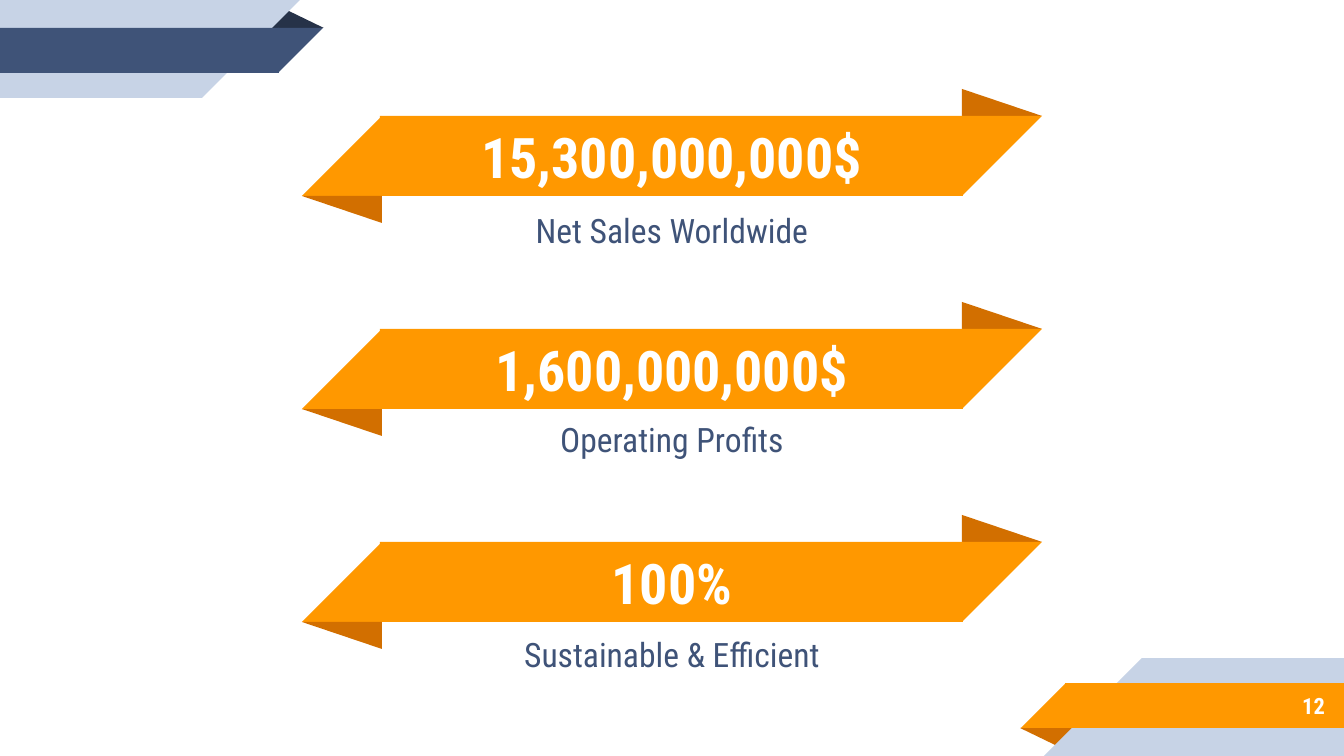
from pptx import Presentation
from pptx import util as u
from pptx.dml.color import RGBColor
from pptx.enum import shapes, text

PX = 914400 / 134.4
SLIDE_W, SLIDE_H = 1344, 756
FONT = "Roboto Condensed"
WHITE, NAVY, INK, MIST = "FFFFFF", "3F5378", "263248", "C7D3E6"
ORANGE, RUST = "FF9800", "D26F00"
RECT = shapes.MSO_SHAPE.RECTANGLE
CORNER = shapes.MSO_SHAPE.RIGHT_TRIANGLE
FOLD = shapes.MSO_SHAPE.ISOSCELES_TRIANGLE
RIBBON_TOP, RIBBON_PITCH, RIBBON_H, FOLD_H = 116, 213, 80, 27

FIGURES = [
    ("15,300,000,000$", "Net Sales Worldwide", 196, 69),
    ("1,600,000,000$", "Operating Profits", 409, 60),
    ("100%", "Sustainable & Efficient", 624, 60),
]


def px(*lengths):
    """Turn pixel lengths into EMU."""
    return [u.Emu(round(length * PX)) for length in lengths]


def color(hex_string):
    """Return the colour for a hex string."""
    return RGBColor.from_string(hex_string)


def add_piece(slide, kind, box, fill, turn=0, apex=None):
    """Add one flat, borderless piece of a ribbon."""
    piece = slide.shapes.add_shape(kind, *px(*box))
    piece.shadow.inherit = False
    piece.fill.solid()
    piece.fill.fore_color.rgb = color(fill)
    piece.line.fill.background()
    piece.rotation = turn
    if apex is not None:
        piece.adjustments[0] = apex


def add_label(slide, words, box, size, ink, bold=False,
              align=text.PP_ALIGN.CENTER, before=0, after=0):
    """Add a one-line, vertically centred text box."""
    frame = slide.shapes.add_textbox(*px(*box)).text_frame
    frame.word_wrap = True
    frame.vertical_anchor = text.MSO_ANCHOR.MIDDLE
    frame.margin_left = frame.margin_right = u.Inches(0.1)
    frame.margin_top = frame.margin_bottom = u.Inches(0.1)
    line = frame.paragraphs[0]
    line.text = words
    line.alignment = align
    line.space_before, line.space_after = u.Pt(before), u.Pt(after)
    line.font.name, line.font.size, line.font.bold = FONT, u.Pt(size), bold
    line.font.color.rgb = color(ink)


def add_corner_banner(slide, band, fold, opposite=False):
    """Add the top-left banner, or its half-turn at the bottom right."""
    pieces = [
        (FOLD, (266, 9, 58, 19), fold, 0, 0.324),
        (RECT, (0, 0, 202, 98), MIST, 0, None),
        (CORNER, (202, 0, 98, 98), MIST, 90, None),
        (RECT, (0, 28, 279, 45), band, 0, None),
        (CORNER, (278, 28, 45, 45), band, 90, None),
    ]
    for kind, (x, y, w, h), fill, turn, apex in pieces:
        if opposite:
            x, y, turn = SLIDE_W - x - w, SLIDE_H - y - h, turn + 180
        add_piece(slide, kind, (x, y, w, h), fill, turn, apex)


def add_ribbon(slide, top):
    """Add an orange ribbon with a fold at each end."""
    left, right, bottom = 302, 962, top + RIBBON_H
    add_piece(slide, FOLD, (right, top - FOLD_H, RIBBON_H, FOLD_H), RUST, 0, 0)
    add_piece(slide, RECT, (380, top, 583, RIBBON_H), ORANGE)
    add_piece(slide, CORNER, (right, top, RIBBON_H, RIBBON_H), ORANGE, 90)
    add_piece(slide, CORNER, (left, top, RIBBON_H, RIBBON_H), ORANGE, 270)
    add_piece(slide, FOLD, (left, bottom, RIBBON_H, FOLD_H), RUST, 180, 0)


def main():
    """Build the slide of key figures and save it."""
    deck = Presentation()
    deck.slide_width, deck.slide_height = px(SLIDE_W, SLIDE_H)
    slide = deck.slides.add_slide(deck.slide_layouts[6])
    add_corner_banner(slide, NAVY, INK)
    add_corner_banner(slide, ORANGE, RUST, opposite=True)
    for row, (figure, caption, caption_top, caption_h) in enumerate(FIGURES):
        top = RIBBON_TOP + row * RIBBON_PITCH
        add_ribbon(slide, top)
        add_label(slide, figure, (384, top + 1, 576, 78), 30, WHITE, bold=True)
        add_label(slide, caption, (384, caption_top, 576, caption_h), 18, NAVY,
                  before=6, after=10)
    add_label(slide, "12", (1119, 682, 219, 47), 12, WHITE, bold=True,
              align=text.PP_ALIGN.RIGHT)
    deck.save("out.pptx")


if __name__ == "__main__":
    main()
